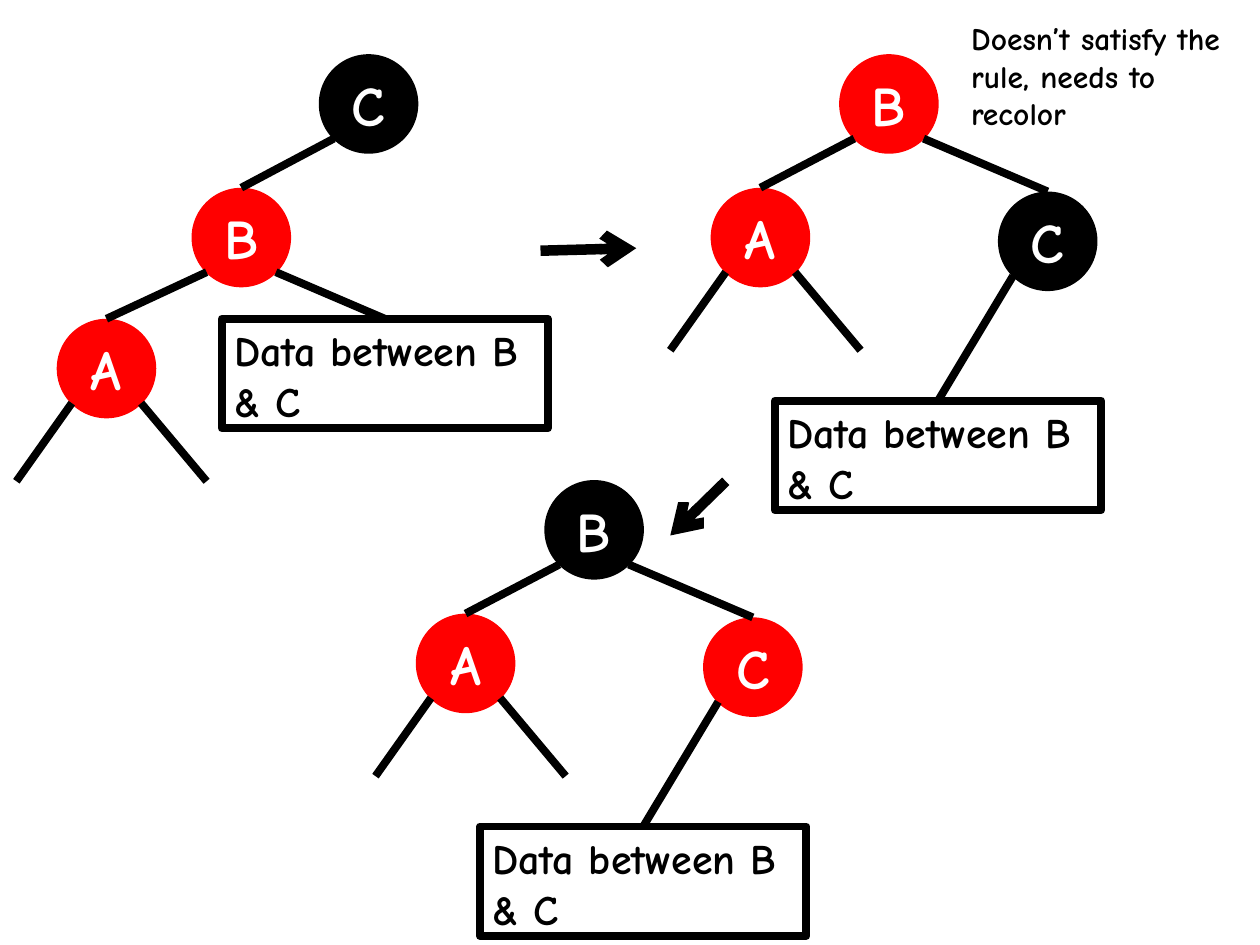
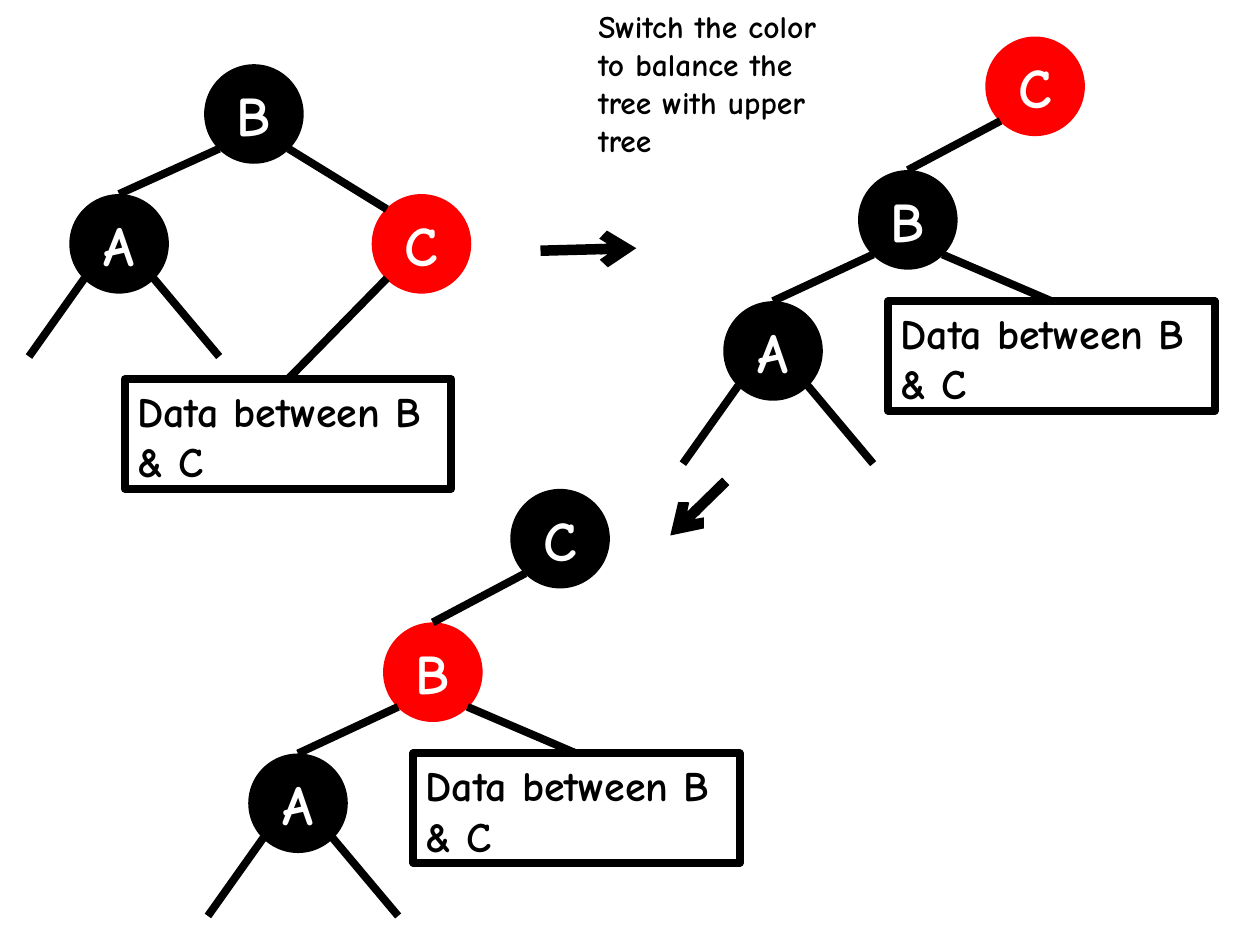
from dataclasses import dataclass

from lxml import etree
from pptx import Presentation
from pptx.dml.color import RGBColor
from pptx.enum.shapes import MSO_CONNECTOR, MSO_SHAPE
from pptx.enum.text import MSO_ANCHOR, MSO_AUTO_SIZE, PP_ALIGN
from pptx.oxml.ns import qn
from pptx.util import Inches, Pt

BLACK = RGBColor(0x00, 0x00, 0x00)
RED = RGBColor(0xFF, 0x00, 0x00)
WHITE = RGBColor(0xFF, 0xFF, 0xFF)

OVAL = MSO_SHAPE.OVAL
STRAIGHT = MSO_CONNECTOR.STRAIGHT
CENTER = PP_ALIGN.CENTER
TOP, MIDDLE = MSO_ANCHOR.TOP, MSO_ANCHOR.MIDDLE
GROW = MSO_AUTO_SIZE.SHAPE_TO_FIT_TEXT

FONT = "Comic Neue"
DATA_TEXT = "Data between B & C"
NODE_SIZE = 0.79
DATA_SIZE = (2.59, 0.87)
EDGE_WIDTH, STEP_WIDTH = 4.5, 6
TOP_SITE = 0

# Points on a node's outline where edges attach
NODE_POINTS = {"NW": (0.12, 0.12), "N": (0.395, 0), "SW": (0.12, 0.67), "SE": (0.67, 0.67)}
# Loose edges under node A: starting point and end relative to A
LEGS = [("SW", (-0.32, 1.29)), ("SE", (1.19, 1.29))]

Point = tuple[float, float]


@dataclass(frozen=True)
class Layout:
    """Places relative to node A, and edges as (parent, side, child, child side)."""
    places: dict[str, Point]
    data: Point
    edges: list[tuple[str, str, str, str]]


@dataclass(frozen=True)
class Tree:
    layout: Layout
    origin: Point
    colors: dict[str, RGBColor]


@dataclass(frozen=True)
class Note:
    text: str
    at: Point
    size: Point


@dataclass(frozen=True)
class Step:
    start: Point
    end: Point


CHAIN = Layout(
    {"A": (0, 0), "B": (1.07, -1.04), "C": (2.08, -2.1)}, (1.31, 0),
    [("B", "SW", "A", "N"), ("B", "SE", "data", "N"), ("C", "SW", "B", "N")])
ROTATED = Layout(
    {"A": (0, 0), "B": (1.02, -1.06), "C": (2.28, 0.03)}, (0.51, 1.69),
    [("B", "SW", "A", "N"), ("C", "SW", "data", "N"), ("B", "SE", "C", "N")])
LEVEL = Layout(
    {"A": (0, 0), "B": (1.07, -1.03), "C": (2.4, 0)}, (0.44, 1.47),
    [("B", "SW", "A", "N"), ("C", "SW", "data", "N"), ("B", "SE", "C", "NW")])

STEPS = [Step((4.29, 1.99), (5.05, 1.97)), Step((5.76, 3.82), (5.32, 4.25))]

SLIDES = [
    ([Tree(CHAIN, (0.45, 2.53), {"A": RED, "B": RED, "C": BLACK}),
      Tree(ROTATED, (5.64, 1.49), {"A": RED, "B": RED, "C": BLACK}),
      Tree(ROTATED, (3.3, 4.87), {"A": RED, "B": BLACK, "C": RED})],
     Note("Doesn’t satisfy the rule, needs to recolor", (7.61, 0.1), (2.18, 1.01))),
    ([Tree(LEVEL, (0.55, 1.54), {"A": BLACK, "B": BLACK, "C": RED}),
      Tree(CHAIN, (5.74, 2.39), {"A": BLACK, "B": BLACK, "C": RED}),
      Tree(CHAIN, (1.97, 5.98), {"A": BLACK, "B": RED, "C": BLACK})],
     Note("Switch the color to balance the tree with upper tree", (4.65, 0.01), (2.18, 1.31))),
]


def offset(base: Point, delta: Point) -> Point:
    return base[0] + delta[0], base[1] + delta[1]


def inches(*lengths: float) -> list[Inches]:
    return [Inches(length) for length in lengths]


def add_run(frame, text: str, size: int, color: RGBColor) -> None:
    run = frame.paragraphs[0].add_run()
    run.text = text
    run.font.name = FONT
    run.font.size = Pt(size)
    run.font.bold = True
    run.font.color.rgb = color


def draw_text(shapes, text: str, at: Point, size: Point, points: int):
    box = shapes.add_textbox(*inches(*at, *size))
    frame = box.text_frame
    frame.word_wrap = True
    frame.auto_size = GROW
    frame.vertical_anchor = TOP
    add_run(frame, text, points, BLACK)
    return box


def draw_line(shapes, start: Point, end: Point, width: float):
    line = shapes.add_connector(STRAIGHT, *inches(*start, *end))
    line.line.color.rgb = BLACK
    line.line.width = Pt(width)
    etree.SubElement(line.element.spPr, qn("a:effectLst"))
    return line


def draw_step(shapes, step: Step) -> None:
    arrow = draw_line(shapes, step.start, step.end, STEP_WIDTH)
    outline = arrow.element.spPr.find(qn("a:ln"))
    etree.SubElement(outline, qn("a:tailEnd"), type="arrow")


def draw_node(shapes, letter: str, at: Point, color: RGBColor):
    node = shapes.add_shape(OVAL, *inches(*at, NODE_SIZE, NODE_SIZE))
    node.shadow.inherit = False
    node.fill.solid()
    node.fill.fore_color.rgb = color
    node.line.fill.background()
    frame = node.text_frame
    frame.vertical_anchor = MIDDLE
    frame.paragraphs[0].alignment = CENTER
    add_run(frame, letter, 32, WHITE)
    return node


def draw_tree(slide, tree: Tree) -> None:
    shapes = slide.shapes.add_group_shape().shapes
    places = {key: offset(tree.origin, place) for key, place in tree.layout.places.items()}
    parts = {key: draw_node(shapes, key, at, tree.colors[key]) for key, at in places.items()}

    # Data box
    data_at = offset(tree.origin, tree.layout.data)
    data = draw_text(shapes, DATA_TEXT, data_at, DATA_SIZE, 24)
    data.line.color.rgb = BLACK
    data.line.width = Pt(EDGE_WIDTH)
    parts["data"] = data

    # Loose edges below A
    for side, end in LEGS:
        draw_line(shapes, offset(places["A"], NODE_POINTS[side]),
                  offset(places["A"], end), EDGE_WIDTH)

    # Edges from parent to child
    for parent, side, child, child_side in tree.layout.edges:
        start = offset(places[parent], NODE_POINTS[side])
        if child == "data":
            end = offset(data_at, (DATA_SIZE[0] / 2, 0))
        else:
            end = offset(places[child], NODE_POINTS[child_side])
        edge = draw_line(shapes, start, end, EDGE_WIDTH)
        if child_side == "N":
            edge.end_connect(parts[child], TOP_SITE)


def main() -> None:
    deck = Presentation()
    deck.slide_width, deck.slide_height = inches(10, 7.5)
    for trees, note in SLIDES:
        slide = deck.slides.add_slide(deck.slide_layouts[6])
        for tree in trees:
            draw_tree(slide, tree)
        for step in STEPS:
            draw_step(slide.shapes, step)
        draw_text(slide.shapes, note.text, note.at, note.size, 18)
    deck.save("out.pptx")


if __name__ == "__main__":
    main()
